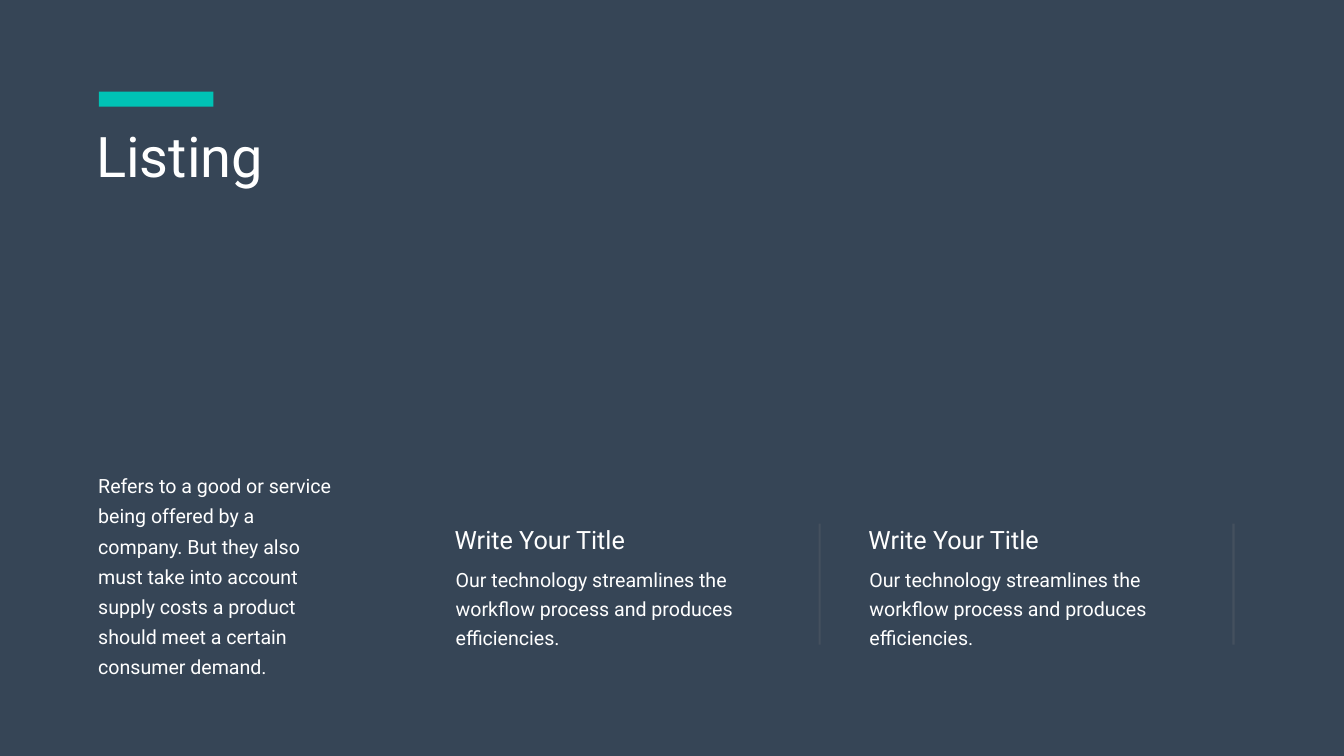
from lxml import etree
from pptx import Presentation
from pptx import util as u
from pptx.dml.color import RGBColor
from pptx.enum import shapes, text
from pptx.oxml.ns import qn

SLATE = RGBColor(0x36, 0x45, 0x56)
TEAL = RGBColor(0x00, 0xC2, 0xB5)
WHITE = RGBColor(0xFF, 0xFF, 0xFF)
GRAY = RGBColor(0x80, 0x80, 0x80)

deck = Presentation()
deck.slide_width, deck.slide_height = u.Cm(67.72), u.Cm(38.1)
page = deck.slides.add_slide(deck.slide_layouts[6])


def add_bar(left, top, width, height, color):
    bar = page.shapes.add_shape(shapes.MSO_SHAPE.RECTANGLE, left, top, width, height)
    bar.shadow.inherit = False
    bar.fill.solid()
    bar.fill.fore_color.rgb = color
    bar.line.fill.background()


def add_text(left, top, width, height, wording, size, spacing=None):
    box = page.shapes.add_textbox(u.Cm(left), u.Cm(top), u.Cm(width), u.Cm(height))
    frame = box.text_frame
    frame.word_wrap = True
    frame.auto_size = text.MSO_AUTO_SIZE.SHAPE_TO_FIT_TEXT
    frame.text = wording
    para = frame.paragraphs[0]
    if spacing:  # body copy has wider margins and fixed line spacing
        frame.margin_left = frame.margin_right = u.Cm(0.61)
        frame.margin_top = frame.margin_bottom = u.Cm(0.3)
        para.line_spacing = u.Pt(spacing)
    span = para.runs[0]
    span.font.name = "Roboto"
    span.font.size = u.Pt(size)
    span.font.color.rgb = WHITE


# Background and heading
add_bar(0, 0, deck.slide_width, deck.slide_height, SLATE)
add_bar(u.Cm(4.98), u.Cm(4.62), u.Cm(5.77), u.Cm(0.76), TEAL)
add_text(4.6, 6, 12.17, 3.68, "Listing", 80)

# Introduction
add_text(4.34, 23.27, 13.5, 9.68,
         "Refers to a good or service being offered by a company. But they also "
         "must take into account supply costs a product should meet a certain "
         "consumer demand.", 28, 43)

# Two listing columns, each closed by a faint divider
for column in range(2):
    left = 22.35 + column * 20.85
    add_text(left + 0.31, 26.29, 13.56, 1.8, "Write Your Title", 36)
    add_text(left, 28.09, 15.42, 4.85,
             "Our technology streamlines the workflow process and produces "
             "efficiencies.", 28, 40.8)
    divider_x = u.Cm(left + 18.95)
    divider = page.shapes.add_connector(
        shapes.MSO_CONNECTOR.STRAIGHT, divider_x, u.Cm(26.39), divider_x, u.Cm(32.49))
    divider.line.width = u.Pt(3)
    divider.line.color.rgb = GRAY
    color = divider.line._ln.find(".//" + qn("a:srgbClr"))
    etree.SubElement(color, qn("a:alpha")).set("val", "20000")
    etree.SubElement(divider._element.spPr, qn("a:effectLst"))

deck.save("out.pptx")
